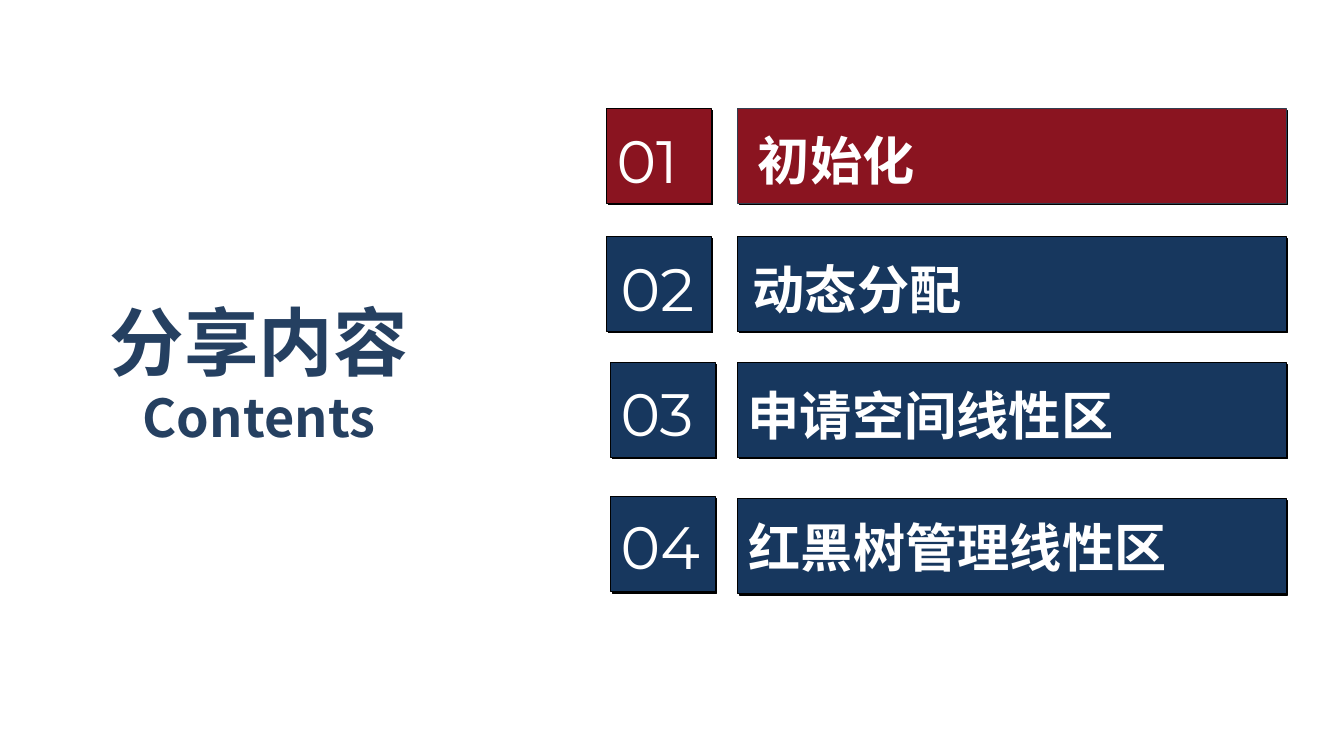
from lxml import etree
from pptx import Presentation
from pptx.dml.color import RGBColor
from pptx.enum.shapes import MSO_SHAPE
from pptx.enum.text import MSO_ANCHOR, MSO_AUTO_SIZE, PP_ALIGN
from pptx.oxml import parse_xml
from pptx.oxml.ns import nsdecls, qn
from pptx.util import Pt

RECT = MSO_SHAPE.RECTANGLE
TOP = MSO_ANCHOR.TOP
GROW = MSO_AUTO_SIZE.SHAPE_TO_FIT_TEXT
CENTER = PP_ALIGN.CENTER

WHITE = RGBColor(0xFF, 0xFF, 0xFF)
BLACK = RGBColor(0x00, 0x00, 0x00)
SLATE = RGBColor(0x32, 0x3F, 0x4F)
RED = RGBColor(0x8A, 0x14, 0x20)
NAVY = RGBColor(0x17, 0x37, 0x5E)
TITLE_BLUE = RGBColor(0x25, 0x40, 0x61)

NUMBER_FONT = "Montserrat"
CJK_FONT = "Noto Sans CJK SC"

TILE_W, BAR_W, ROW_H = 74.9, 391.7, 67.7
BAR_LEFT = 527

SHADOW = (
    f'<a:effectLst {nsdecls("a")}>'
    '<a:outerShdw blurRad="0" dist="17780" dir="2700000" algn="tl" rotWithShape="0">'
    '<a:srgbClr val="000000"/></a:outerShdw></a:effectLst>'
)


def format_run(r, size, color, font, bold):
    r.font.size = Pt(size)
    r.font.color.rgb = color
    r.font.bold = bold
    r.font.name = font
    latin = r.font._element.find(qn("a:latin"))
    ea = etree.Element(qn("a:ea"), typeface=font)
    latin.addnext(ea)


def add_panel(slide, left, top, width, fill, line):
    s = slide.shapes.add_shape(RECT, Pt(left), Pt(top), Pt(width), Pt(ROW_H))
    s.fill.solid()
    s.fill.fore_color.rgb = fill
    s.line.color.rgb = line
    s.line.width = Pt(0.75)
    s._element.spPr.append(parse_xml(SHADOW))


def add_label(slide, left, top, width, height, text, size, font, bold):
    tb = slide.shapes.add_textbox(Pt(left), Pt(top), Pt(width), Pt(height))
    tf = tb.text_frame
    tf.word_wrap = True
    tf.auto_size = GROW
    tf.text = text
    format_run(tf.paragraphs[0].runs[0], size, WHITE, font, bold)


def add_title(slide, left, top, width, height):
    title = slide.shapes.title
    title.left, title.top = Pt(left), Pt(top)
    title.width, title.height = Pt(width), Pt(height)
    tf = title.text_frame
    tf.text = "分享内容\nContents"
    tf.word_wrap = False
    tf.auto_size = GROW
    tf.vertical_anchor = TOP
    for p, size in zip(tf.paragraphs, (53.3, 37.3)):
        p.alignment = CENTER
        format_run(p.runs[0], size, TITLE_BLUE, CJK_FONT, True)


def add_item(slide, tile, bar_top, number_offset, label_offset, number, label,
             fill=NAVY, bar_line=BLACK):
    left, top = tile
    add_panel(slide, left, top, TILE_W, fill, BLACK)
    add_panel(slide, BAR_LEFT, bar_top, BAR_W, fill, bar_line)
    dx, dy = number_offset
    add_label(slide, left + dx, top + dy, 80.6, 59, number, 42.7, NUMBER_FONT, False)
    dx, dy = label_offset
    add_label(slide, BAR_LEFT + dx, bar_top + dy, 411, 52.6, label, 37.3, CJK_FONT, True)


def main():
    prs = Presentation()
    prs.slide_width, prs.slide_height = Pt(960), Pt(540)
    slide = prs.slides.add_slide(prs.slide_layouts[5])
    add_title(slide, 69.8, 207.4, 230.4, 117.4)
    add_item(slide, (433.4, 77.8), 77.8, (0, 7.2), (7.2, 10.1), "01", "初始化", RED, SLATE)
    add_item(slide, (433.4, 169.2), 169.2, (2.9, 7.2), (3.6, 10.8), "02", "动态分配")
    add_item(slide, (436.3, 259.2), 259.2, (0, 6.5), (0, 10.8), "03", "申请空间线性区")
    add_item(slide, (436.3, 355), 356.4, (0, 5.8), (0.7, 7.9), "04", "红黑树管理线性区")
    prs.save("out.pptx")


if __name__ == "__main__":
    main()
